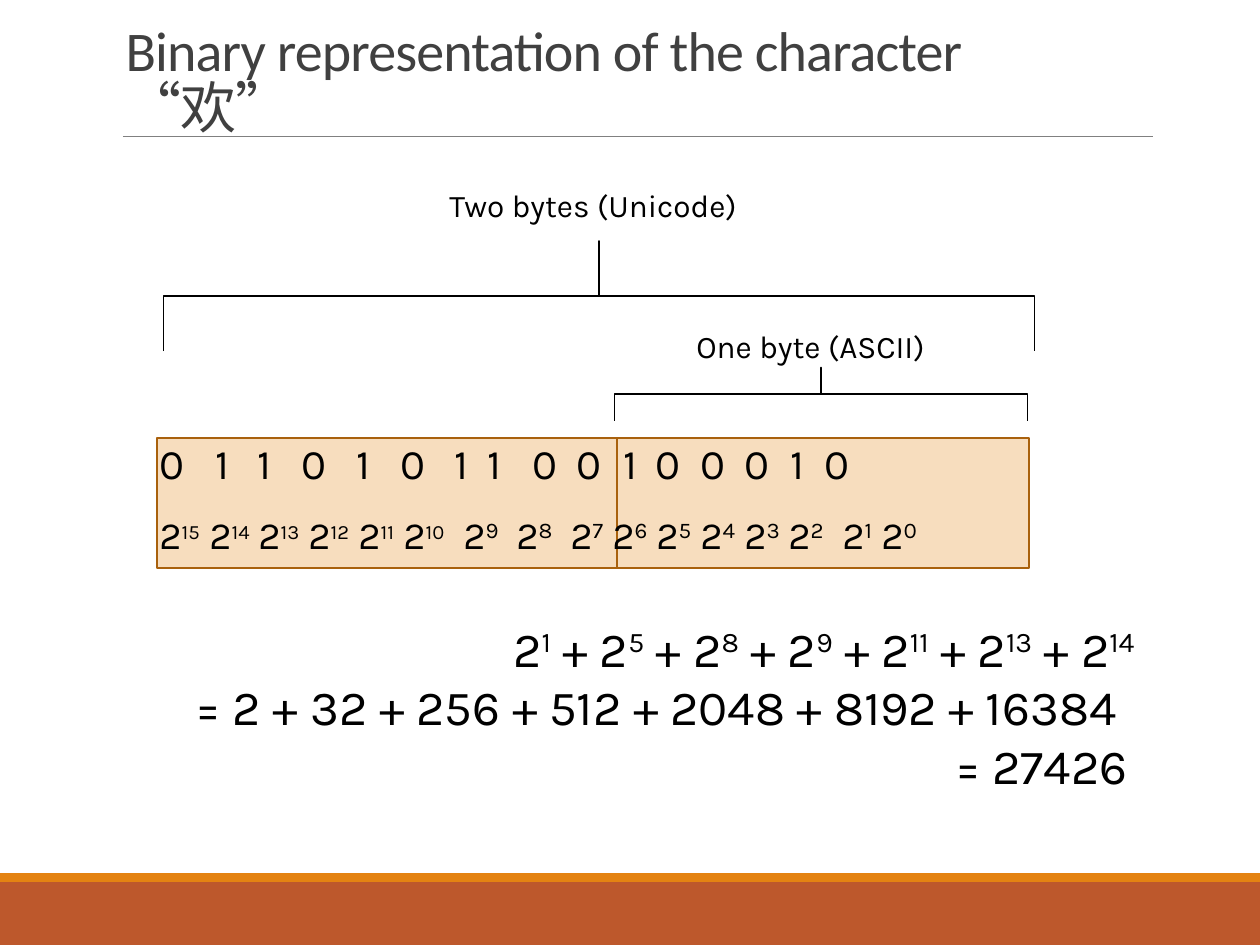
from pptx import Presentation
from pptx.dml.color import RGBColor
from pptx.enum.shapes import MSO_CONNECTOR, MSO_SHAPE
from pptx.enum.text import MSO_ANCHOR, MSO_AUTO_SIZE, PP_ALIGN
from pptx.oxml.ns import qn
from pptx.util import Emu, Pt
from lxml.etree import SubElement

PX_PER_INCH = 126
ORANGE, RUST, BROWN = "E48312", "BD582C", "A9610D"
BLACK, GRAY, DARK = "000000", "808080", "404040"
BITS = "0110101100100010"
BIT_STOPS = [56, 98, 142, 197, 241, 295, 328, 373, 417, 464, 496, 541, 585, 631, 665]
POWER_STOPS = [50, 99, 149, 199, 244, 304, 357, 411, 453, 497, 541, 585, 629, 683, 722]


def px(length):
    return Emu(round(length * 914400 / PX_PER_INCH))


def color(code):
    return RGBColor.from_string(code)


def add_block(slide, frame, fill, line=None, alpha=None):
    block = slide.shapes.add_shape(MSO_SHAPE.RECTANGLE, *map(px, frame))
    block.shadow.inherit = False
    block.fill.solid()
    block.fill.fore_color.rgb = color(fill)
    if alpha:
        tint = block.fill._xPr.find(qn("a:solidFill"))[0]
        SubElement(tint, qn("a:alpha")).set("val", str(alpha * 1000))
    if line:
        block.line.color.rgb = color(line)
        block.line.width = Pt(1.25)
    else:
        block.line.fill.background()


def add_rule(slide, left, right, y):
    rule = slide.shapes.add_connector(
        MSO_CONNECTOR.STRAIGHT, px(left), px(y), px(right), px(y))
    rule.line.color.rgb = color(GRAY)
    rule.line.width = Pt(0.5)
    SubElement(rule._element.spPr, qn("a:effectLst"))


def add_bracket(slide, center_x, center_y, span, depth):
    """Square brace that opens downwards over a span."""
    frame = (center_x - depth / 2, center_y - span / 2, depth, span)
    brace = slide.shapes.add_shape(MSO_SHAPE.RIGHT_BRACE, *map(px, frame))
    brace.rotation = 270
    brace.adjustments[0] = 0
    brace.adjustments[1] = 0.5
    brace.shadow.inherit = False
    brace.fill.background()
    brace.line.color.rgb = color(BLACK)
    brace.line.width = Pt(1)


def add_box(slide, frame, wrap=True):
    box = slide.shapes.add_textbox(*map(px, frame))
    box.text_frame.word_wrap = wrap
    box.text_frame.auto_size = MSO_AUTO_SIZE.SHAPE_TO_FIT_TEXT
    return box.text_frame


def add_span(para, text, size, raised=False):
    span = para.add_run()
    span.text = text
    span.font.name = "Karla"
    span.font.size = Pt(size)
    span.font.color.rgb = color(BLACK)
    if raised:
        span.font._element.set("baseline", "30000")


def set_tab_stops(para, stops):
    tabs = SubElement(para._p.get_or_add_pPr(), qn("a:tabLst"))
    for stop in stops:
        SubElement(tabs, qn("a:tab"), pos=str(px(stop)), algn="l")


def add_label(slide, text, frame):
    add_span(add_box(slide, frame, wrap=False).paragraphs[0], text, 18)


def set_title(slide, text):
    title = slide.shapes.title
    title.left, title.top, title.width, title.height = map(px, (113, 39, 1040, 107))
    frame = title.text_frame
    frame.text = text
    frame.word_wrap = True
    frame.auto_size = MSO_AUTO_SIZE.NONE
    frame.vertical_anchor = MSO_ANCHOR.BOTTOM
    para = frame.paragraphs[0]
    para.alignment = PP_ALIGN.LEFT
    para.line_spacing = 0.85
    font = para.runs[0].font
    font.name = "Calibri"
    font.size = Pt(32)
    font.color.rgb = color(DARK)
    font._element.set("spc", "-50")


def add_bit_rows(slide):
    bits = add_box(slide, (147, 431, 903, 63)).paragraphs[0]
    set_tab_stops(bits, BIT_STOPS)
    add_span(bits, "\t".join(BITS), 24)

    powers = add_box(slide, (147, 505, 955, 59)).paragraphs[0]
    set_tab_stops(powers, POWER_STOPS)
    for exponent in reversed(range(len(BITS))):
        add_span(powers, "2" if exponent == 15 else "\t2", 22)
        add_span(powers, str(exponent), 20 if exponent >= 10 else 22, raised=True)


def add_sum(slide):
    """Powers of the set bits, their values and the total, flush right."""
    exponents = [place for place, bit in enumerate(reversed(BITS)) if bit == "1"]
    values = [2 ** exponent for exponent in exponents]
    frame = add_box(slide, (54, 612, 1099, 190))
    paras = [frame.paragraphs[0], frame.add_paragraph(), frame.add_paragraph()]
    for para, right_margin in zip(paras, (6, 24, 13)):
        para.alignment = PP_ALIGN.RIGHT
        para._p.get_or_add_pPr().set("marR", str(px(right_margin)))
    for index, exponent in enumerate(exponents):
        add_span(paras[0], " + 2" if index else "2", 28)
        add_span(paras[0], str(exponent), 28, raised=True)
    add_span(paras[1], "= " + " + ".join(map(str, values)), 28)
    add_span(paras[2], f"= {sum(values)}", 28)


def main():
    deck = Presentation()
    deck.slide_width, deck.slide_height = px(1260), px(945)
    slide = deck.slides.add_slide(deck.slide_layouts[5])
    add_block(slide, (0, 882, 1260, 63), RUST)
    add_block(slide, (0, 873, 1260, 9), ORANGE)
    add_rule(slide, 123, 1153, 136)
    set_title(slide, "Binary representation of the character “欢”")
    for left, width in ((617, 412), (157, 460)):
        add_block(slide, (left, 438, width, 130), ORANGE, BROWN, alpha=27)
    add_bit_rows(slide)
    add_sum(slide)
    add_bracket(slide, 821, 394, span=413, depth=53)
    add_bracket(slide, 599, 296, span=871, depth=110)
    add_label(slide, "One byte (ASCII)", (684, 321, 277, 50))
    add_label(slide, "Two bytes (Unicode)", (437, 180, 323, 50))
    deck.save("out.pptx")


if __name__ == "__main__":
    main()
